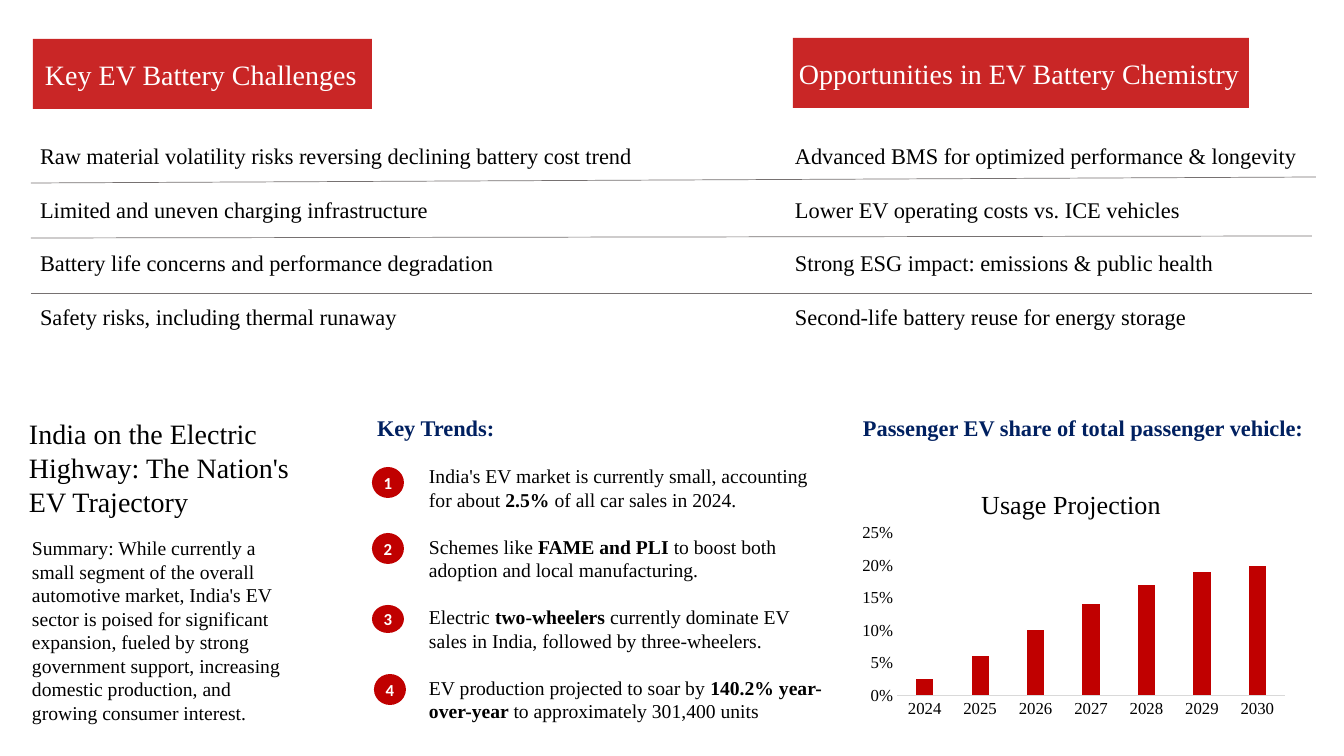
from dataclasses import dataclass

from lxml import etree
from pptx import Presentation
from pptx.chart.data import CategoryChartData
from pptx.dml.color import RGBColor
from pptx.enum.chart import XL_CHART_TYPE, XL_TICK_MARK
from pptx.enum.shapes import MSO_CONNECTOR, MSO_SHAPE
from pptx.enum.text import MSO_ANCHOR, PP_ALIGN
from pptx.oxml import parse_xml
from pptx.oxml.ns import nsdecls, qn
from pptx.util import Emu, Pt

COLUMNS = XL_CHART_TYPE.COLUMN_CLUSTERED
NO_TICK = XL_TICK_MARK.NONE
LINE = MSO_CONNECTOR.STRAIGHT
RECT, OVAL = MSO_SHAPE.RECTANGLE, MSO_SHAPE.OVAL
TOP, MIDDLE = MSO_ANCHOR.TOP, MSO_ANCHOR.MIDDLE
LEFT, CENTER = PP_ALIGN.LEFT, PP_ALIGN.CENTER

EMU_PER_PX = 914400 / 100.8
LEADING = 1.2


def px(n):
    return Emu(round(n * EMU_PER_PX))


@dataclass(frozen=True)
class Theme:
    font: str = "Times New Roman"
    badge_font: str = "Calibri"
    red: str = "C00000"
    navy: str = "002060"
    black: str = "000000"
    white: str = "FFFFFF"
    rule: str = "767171"
    axis: str = "D9D9D9"
    heading: float = 20
    chart_title: float = 18.6
    row: float = 16
    body: float = 14
    small: float = 12


def set_font(font, size, color, name, bold=False):
    font.size, font.name, font.bold = Pt(size), name, bold
    font.color.rgb = RGBColor.from_string(color)


def write(tf, *paragraphs, size, color, font, bold=False, align=LEFT,
          anchor=TOP, gap=0, insets=(10, 5, 10, 5)):
    """Fill a text frame; words between asterisks become bold."""
    tf.word_wrap = True
    tf.vertical_anchor = anchor
    tf.margin_left, tf.margin_top, tf.margin_right, tf.margin_bottom = map(px, insets)
    for i, text in enumerate(paragraphs):
        p = tf.add_paragraph() if i else tf.paragraphs[0]
        p.alignment = align
        p.line_spacing = Pt(size * LEADING)
        p.space_before = Pt(gap if i else 0)
        for j, part in enumerate(text.split("*")):
            r = p.add_run()
            r.text = part
            set_font(r.font, size, color, font, bold or j % 2 == 1)


def place(parent, index, target, **position):
    """Give a chart part a manual layout, in fractions of the chart."""
    for old in parent.findall(qn("c:layout")):
        parent.remove(old)
    modes = '<c:xMode val="edge"/><c:yMode val="edge"/>'
    values = "".join(f'<c:{k} val="{v:.2f}"/>' for k, v in position.items())
    parent.insert(index, parse_xml(
        f'<c:layout {nsdecls("c")}><c:manualLayout>{target}{modes}{values}'
        '</c:manualLayout></c:layout>'))


class SlideBuilder:
    def __init__(self, slide, theme):
        self.slide, self.theme = slide, theme

    def text(self, box, *paragraphs, size, color=None, **style):
        tf = self.slide.shapes.add_textbox(*map(px, box)).text_frame
        write(tf, *paragraphs, size=size, color=color or self.theme.black,
              font=self.theme.font, **style)

    def label(self, kind, box, text, alpha=100, **style):
        """Add a red shape with white text in its middle."""
        sp = self.slide.shapes.add_shape(kind, *map(px, box))
        sp.shadow.inherit = False
        sp.fill.solid()
        sp.fill.fore_color.rgb = RGBColor.from_string(self.theme.red)
        if alpha < 100:
            clr = sp.fill._xPr.find(".//" + qn("a:srgbClr"))
            etree.SubElement(clr, qn("a:alpha")).set("val", str(alpha * 1000))
        sp.line.fill.background()
        write(sp.text_frame, text, color=self.theme.white, anchor=MIDDLE, **style)

    def banner(self, box, text, indent):
        self.label(RECT, box, text, alpha=85, size=self.theme.heading,
                   font=self.theme.font, insets=(indent, 0, 0, 0))

    def badge(self, box, number):
        self.label(OVAL, box, str(number), size=self.theme.small, bold=True,
                   font=self.theme.badge_font, align=CENTER, insets=(0, 0, 0, 0))

    def rule(self, x1, y1, x2, y2):
        line = self.slide.shapes.add_connector(LINE, *map(px, (x1, y1, x2, y2)))
        line.line.color.rgb = RGBColor.from_string(self.theme.rule)
        line.line.width = Pt(0.5)
        etree.SubElement(line._element.spPr, qn("a:effectLst"))

    def column_chart(self, box, title, shares):
        t = self.theme
        data = CategoryChartData(number_format="0%")
        data.categories = list(shares)
        data.add_series("Series 1", list(shares.values()))
        chart = self.slide.shapes.add_chart(COLUMNS, *map(px, box), data).chart
        chart.has_legend = False
        set_font(chart.font, t.small, t.black, t.font)

        chart.has_title = True
        p = chart.chart_title.text_frame.paragraphs[0]
        r = p.add_run()
        r.text = title
        set_font(r.font, t.chart_title, t.black, t.font)
        root = chart._chartSpace
        place(root.find(".//" + qn("c:title")), 1, "", x=0.28, y=0.07)
        place(root.find(".//" + qn("c:plotArea")), 0, '<c:layoutTarget val="inner"/>',
              x=0.1, y=0.26, w=0.88, h=0.63)

        plot = chart.plots[0]
        plot.gap_width, plot.overlap = 219, -27
        plot.vary_by_categories = False
        fill = plot.series[0].format.fill
        fill.solid()
        fill.fore_color.rgb = RGBColor.from_string(t.red)

        for axis in (chart.category_axis, chart.value_axis):
            axis.major_tick_mark = axis.minor_tick_mark = NO_TICK
            axis.has_major_gridlines = False
            set_font(axis.tick_labels.font, t.small, t.black, t.font)
        category_line = chart.category_axis.format.line
        category_line.color.rgb = RGBColor.from_string(t.axis)
        category_line.width = Pt(0.75)
        values = chart.value_axis
        values.format.line.fill.background()
        values.minimum_scale, values.maximum_scale, values.major_unit = 0, 0.25, 0.05
        values.tick_labels.number_format = "0%"
        values.tick_labels.number_format_is_linked = False


CHALLENGES = (
    "Raw material volatility risks reversing declining battery cost trend",
    "Limited and uneven charging infrastructure",
    "Battery life concerns and performance degradation",
    "Safety risks, including thermal runaway",
)
OPPORTUNITIES = (
    "Advanced BMS for optimized performance & longevity",
    "Lower EV operating costs vs. ICE vehicles",
    "Strong ESG impact: emissions & public health",
    "Second-life battery reuse for energy storage",
)
TRENDS = (
    "India's EV market is currently small, accounting for about *2.5%* of all car sales in 2024.",
    "Schemes like *FAME and PLI *to boost both adoption and local manufacturing.",
    "Electric *two-wheelers* currently dominate EV sales in India, followed by three-wheelers.",
    "EV production projected to soar by *140.2% year-over-year *to approximately 301,400 units",
)
SUMMARY = (
    "Summary: While currently a small segment of the overall automotive market, India's EV "
    "sector is poised for significant expansion, fueled by strong government support, "
    "increasing domestic production, and growing consumer interest."
)
EV_SHARES = {"2024": 0.025, "2025": 0.06, "2026": 0.1, "2027": 0.14,
             "2028": 0.17, "2029": 0.19, "2030": 0.2}
ROW_RULES = ((31, 183, 1316, 177), (31, 238, 1312, 236), (31, 293, 1312, 293))
BADGES = ((372, 467, 32, 31), (372, 533, 32, 31), (372, 605, 32, 28), (374, 674, 32, 31))


def main():
    prs = Presentation()
    prs.slide_width, prs.slide_height = px(1344), px(756)
    t = Theme()
    s = SlideBuilder(prs.slides.add_slide(prs.slide_layouts[6]), t)

    s.banner((33, 39, 339, 70), "Key EV Battery Challenges", indent=12)
    s.banner((793, 38, 456, 70), "Opportunities in EV Battery Chemistry", indent=6)
    for left, width, rows in ((30, 672, CHALLENGES), (785, 559, OPPORTUNITIES)):
        s.text((left, 137, width, 201), *rows, size=t.row, gap=t.row * LEADING)
    for ends in ROW_RULES:
        s.rule(*ends)

    s.text((19, 412, 284, 112), "India on the Electric Highway: The Nation's EV Trajectory",
           size=t.heading)
    s.text((22, 531, 271, 201), SUMMARY, size=t.body)

    for left, width, heading in ((367, 391, "Key Trends:"),
                                 (853, 483, "Passenger EV share of total passenger vehicle:")):
        s.text((left, 408, width, 40), heading, size=t.row, color=t.navy, bold=True,
               anchor=MIDDLE)
    s.text((419, 459, 415, 271), *TRENDS, size=t.body, gap=t.body * LEADING)
    for number, box in enumerate(BADGES, 1):
        s.badge(box, number)
    s.column_chart((853, 466, 441, 258), "Usage Projection", EV_SHARES)

    prs.save("out.pptx")


if __name__ == "__main__":
    main()
